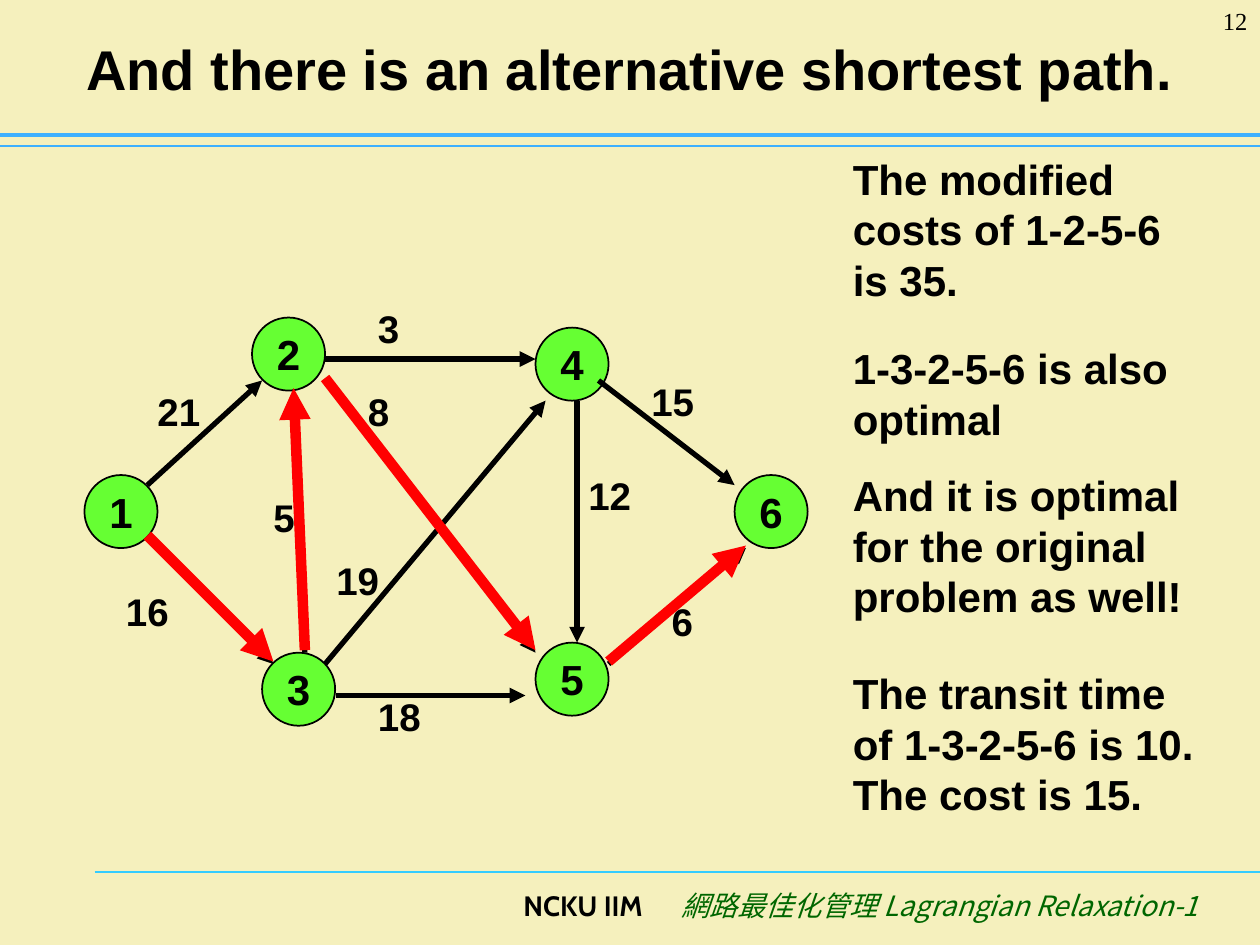
from lxml import etree
from pptx import Presentation
from pptx.dml.color import RGBColor
from pptx.enum.shapes import MSO_CONNECTOR, MSO_SHAPE
from pptx.enum.text import MSO_ANCHOR, MSO_AUTO_SIZE, PP_ALIGN
from pptx.oxml.ns import qn
from pptx.util import Inches, Pt

LEFT, MID, RIGHT = PP_ALIGN.LEFT, PP_ALIGN.CENTER, PP_ALIGN.RIGHT
TOP, CORE = MSO_ANCHOR.TOP, MSO_ANCHOR.MIDDLE
NO_FIT = MSO_AUTO_SIZE.NONE
OVAL, LINE = MSO_SHAPE.OVAL, MSO_CONNECTOR.STRAIGHT

TITLE = "And there is an alternative shortest path."
RULES = [
    (0.75, 6.92, "33CCFF", 0.75),
    (0, 1.16, "3DB0FF", 0.75),
    (0, 1.07, "3DB0FF", 2.5),
]
NODES = {
    "1": (0.67, 3.77),
    "2": (2, 2.52),
    "4": (4.25, 2.6),
    "5": (4.25, 5.1),
    "3": (2.08, 5.18),
    "6": (5.83, 3.77),
}
SIZE = 0.58
EDGES = [
    ("1-2", "21", (1.25, 3.08), (1.17, 3.85), (2.08, 3.02)),
    ("2-4", "3", (3, 2.42), (2.58, 2.85), (4.25, 2.85)),
    ("2-5", "8", (2.92, 3.08), (2.58, 3.02), (4.25, 5.18)),
    ("1-3", "16", (1, 4.67), (1.17, 4.27), (2.17, 5.27)),
    ("3-2", "5", (2.17, 3.92), (2.42, 5.18), (2.33, 3.1)),
    ("3-4", "19", (2.67, 4.42), (2.58, 5.27), (4.33, 3.18)),
    ("3-5", "18", (3, 5.5), (2.67, 5.52), (4.17, 5.52)),
    ("5-6", "6", (5.33, 4.75), (4.83, 5.27), (5.92, 4.35)),
    ("4-6", "15", (5.17, 3), (4.75, 3.02), (5.83, 3.85)),
    ("4-5", "12", (4.67, 3.75), (4.58, 3.18), (4.58, 5.1)),
]
BEST = {"1-3", "3-2", "2-5", "5-6"}
LIFT = 0.02
NOTES = [
    (1.17, 2.83, 1.3, ["The modified costs of 1-2-5-6 is 35."]),
    (2.67, 3, 2.31, ["1-3-2-5-6 is also optimal",
                     "And it is optimal for the original problem as well!"]),
    (5.25, 3, 1.3, ["The transit time of 1-3-2-5-6 is 10. The cost is 15."]),
]


def rgb(code):
    return RGBColor.from_string(code)


def write(shape, *lines, size=24, face="Arial", hue="000000", bold=True,
          slant=False, align=LEFT, anchor=TOP, wrap=True, pad=(0.1, 0.05), gap=15):
    frame = shape.text_frame
    frame.auto_size = NO_FIT
    frame.word_wrap = wrap
    frame.vertical_anchor = anchor
    frame.margin_left = frame.margin_right = Inches(pad[0])
    frame.margin_top = frame.margin_bottom = Inches(pad[1])
    for i, line in enumerate(lines):
        para = frame.add_paragraph() if i else frame.paragraphs[0]
        para.alignment = align
        para.space_before = Pt(gap if i else 0)
        run = para.add_run()
        run.text = line
        font = run.font
        font.size, font.name, font.bold, font.italic = Pt(size), face, bold, slant
        font.color.rgb = rgb(hue)
        east = etree.SubElement(run._r.get_or_add_rPr(), qn("a:ea"))
        east.set("typeface", face)


def box(slide, x, y, w, h, *lines, **form):
    shape = slide.shapes.add_textbox(Inches(x), Inches(y), Inches(w), Inches(h))
    write(shape, *lines, **form)


def link(slide, start, end, hue, width, head=True):
    line = slide.shapes.add_connector(LINE, *map(Inches, (*start, *end)))
    line.line.color.rgb = rgb(hue)
    line.line.width = Pt(width)
    if head:
        tip = etree.SubElement(line.line._get_or_add_ln(), qn("a:tailEnd"))
        tip.set("type", "triangle")
    etree.SubElement(line._element.spPr, qn("a:effectLst"))


def main():
    deck = Presentation()
    deck.slide_width, deck.slide_height = Inches(10), Inches(7.5)
    slide = deck.slides.add_slide(deck.slide_layouts[5])
    slide.background.fill.solid()
    slide.background.fill.fore_color.rgb = rgb("F5F0BD")

    for x, y, hue, width in RULES:
        link(slide, (x, y), (10, y), hue, width, head=False)
    box(slide, 3.2, 7, 2, 0.5, "NCKU IIM", size=16, face="Cabin", align=RIGHT)
    box(slide, 5.2, 7, 4.41, 0.5, "網路最佳化管理 Lagrangian Relaxation-1", size=16,
        face="Noto Sans CJK SC", hue="006600", bold=False, slant=True, align=RIGHT)

    title = slide.shapes.title
    title.left, title.top = Inches(0), Inches(0.33)
    title.width, title.height = Inches(10), Inches(0.42)
    write(title, TITLE, size=32, align=MID, anchor=CORE)

    for _, cost, (x, y), _, _ in EDGES:
        box(slide, x, y, 0.17 * len(cost), 0.37, cost, size=22, wrap=False, pad=(0, 0))

    for name, (x, y) in NODES.items():
        node = slide.shapes.add_shape(OVAL, *map(Inches, (x, y, SIZE, SIZE)))
        node.shadow.inherit = False
        node.fill.solid()
        node.fill.fore_color.rgb = rgb("66FF33")
        node.line.color.rgb = rgb("000000")
        node.line.width = Pt(1)
        write(node, name, align=MID, anchor=CORE, wrap=False)

    for _, _, _, start, end in EDGES:
        link(slide, start, end, "000000", 3)
    for y, w, h, lines in NOTES:
        box(slide, 6.67, y, w, h, *lines)
    for name, _, _, (ax, ay), (bx, by) in EDGES:
        if name in BEST:
            link(slide, (ax, ay - LIFT), (bx, by - LIFT), "FF0000", 6)

    box(slide, 9.17, 0, 0.83, 0.5, "12", size=14, face="Times New Roman",
        bold=False, align=RIGHT)
    deck.save("out.pptx")


if __name__ == "__main__":
    main()
